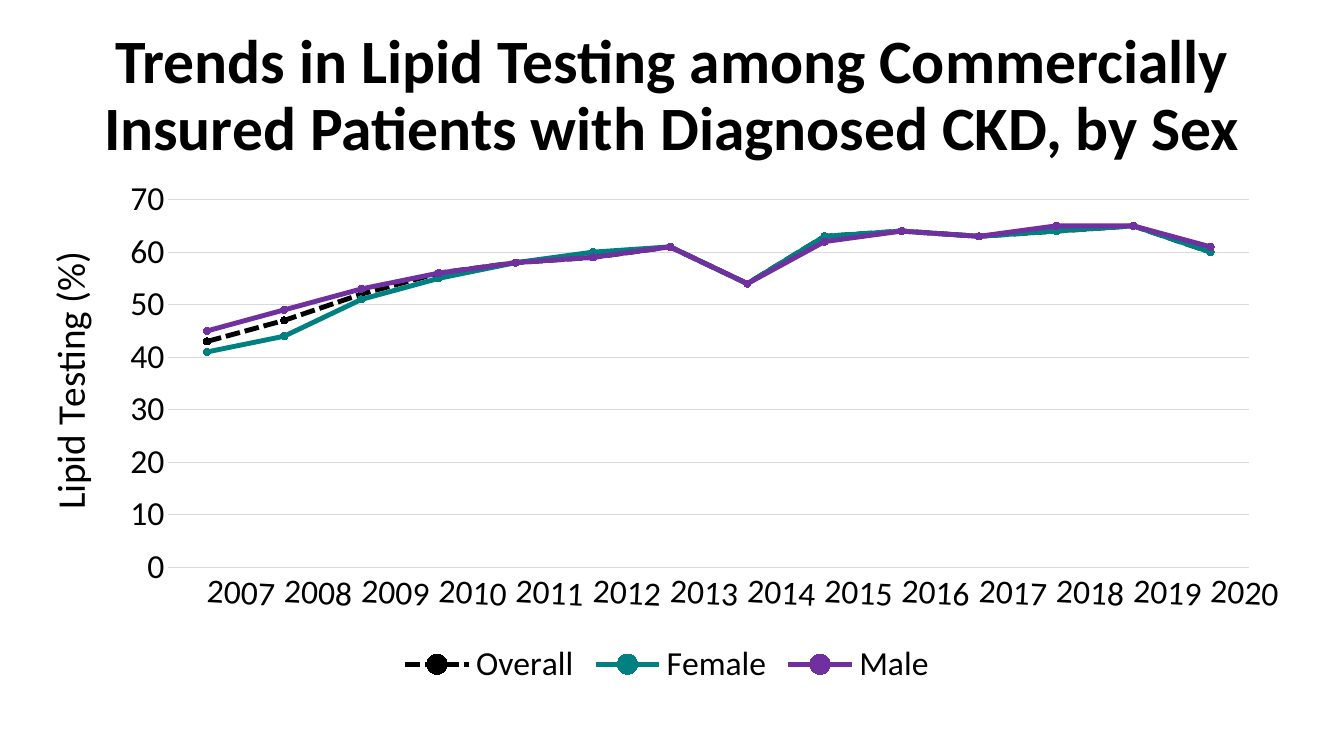
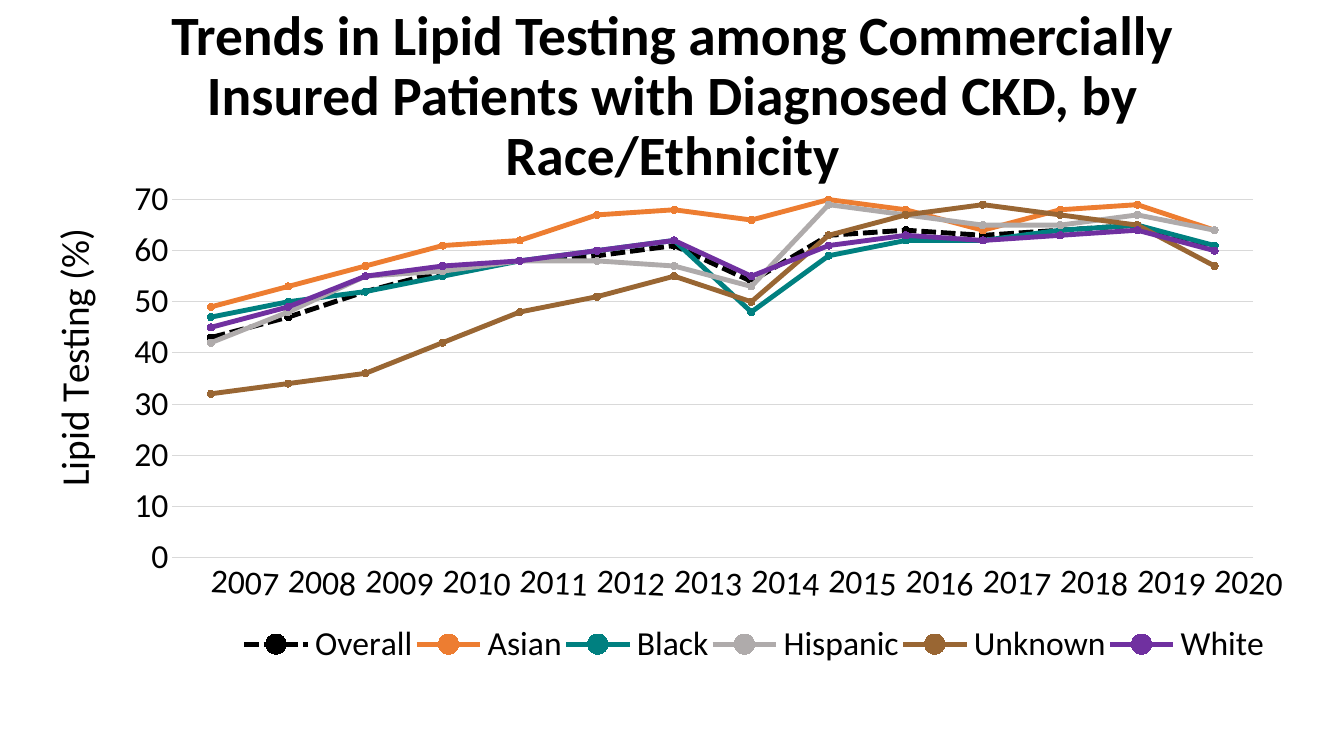
from dataclasses import dataclass

from lxml import etree
from pptx import Presentation
from pptx.chart.data import CategoryChartData
from pptx.dml.color import RGBColor
from pptx.enum.chart import XL_CHART_TYPE, XL_LEGEND_POSITION, XL_MARKER_STYLE, XL_TICK_MARK
from pptx.enum.dml import MSO_LINE
from pptx.enum.text import MSO_ANCHOR, MSO_AUTO_SIZE, PP_ALIGN
from pptx.oxml.ns import qn
from pptx.util import Inches, Pt

LINE_CHART = XL_CHART_TYPE.LINE_MARKERS
LEGEND_BOTTOM = XL_LEGEND_POSITION.BOTTOM
CIRCLE = XL_MARKER_STYLE.CIRCLE
NO_TICK = XL_TICK_MARK.NONE
SHORT_DASH = MSO_LINE.SQUARE_DOT
MIDDLE = MSO_ANCHOR.MIDDLE
NO_FIT = MSO_AUTO_SIZE.NONE
CENTER = PP_ALIGN.CENTER

FONT = "Calibri"
COLORS = {
    "text": "000000",
    "grid": "D9D9D9",
    "Overall": "000000",
    "Female": "008080",
    "Male": "7030A0",
    "Asian": "ED7D31",
    "Black": "008080",
    "Hispanic": "AFABAB",
    "Unknown": "996633",
    "White": "7030A0",
}
YEARS = [str(year) for year in range(2007, 2021)]
OVERALL = [43, 47, 52, 56, 58, 59, 61, 54, 63, 64, 63, 64, 65, 60]
TITLE_START = "Trends in Lipid Testing among Commercially Insured Patients with Diagnosed CKD, by "


@dataclass(frozen=True)
class Frame:
    """A rectangle in inches."""
    left: float
    top: float
    width: float
    height: float


@dataclass(frozen=True)
class TrendSlide:
    group: str
    title_size: float
    chart: Frame
    axis_title_top: float
    series: dict[str, list[int]]
    legend: Frame | None = None


TITLE_FRAME = Frame(0.92, 0.24, 11.5, 1.45)

SLIDES = [
    TrendSlide(
        "Sex", 44, Frame(0.29, 1.69, 12.65, 5.17), 0.74,
        {
            "Overall": OVERALL,
            "Female": [41, 44, 51, 55, 58, 60, 61, 54, 63, 64, 63, 64, 65, 60],
            "Male": [45, 49, 53, 56, 58, 59, 61, 54, 62, 64, 63, 65, 65, 61],
        },
    ),
    TrendSlide(
        "Race/Ethnicity", 39.6, Frame(0.33, 1.69, 12.67, 5.07), 0.51,
        {
            "Overall": OVERALL,
            "Asian": [49, 53, 57, 61, 62, 67, 68, 66, 70, 68, 64, 68, 69, 64],
            "Black": [47, 50, 52, 55, 58, 60, 62, 48, 59, 62, 62, 64, 65, 61],
            "Hispanic": [42, 48, 55, 56, 58, 58, 57, 53, 69, 67, 65, 65, 67, 64],
            "Unknown": [32, 34, 36, 42, 48, 51, 55, 50, 63, 67, 69, 67, 65, 57],
            "White": [45, 49, 55, 57, 58, 60, 62, 55, 61, 63, 62, 63, 64, 60],
        },
        legend=Frame(2.05, 4.45, 10.2, 0.5),
    ),
]


def rgb(name: str) -> RGBColor:
    return RGBColor.from_string(COLORS[name])


def style_font(font, size: float, bold: bool = False) -> None:
    font.name = FONT
    font.size = Pt(size)
    font.bold = bold
    font.color.rgb = rgb("text")


def write_text(text_frame, text: str, *, size: float, bold: bool = False,
               line_spacing: float | None = None) -> None:
    para = text_frame.paragraphs[0]
    para.alignment = CENTER
    para.line_spacing = line_spacing
    span = para.add_run()
    span.text = text
    style_font(span.font, size, bold)


def place_part(part, index: int, chart: Frame, left: float, top: float,
               width: float | None = None, height: float | None = None,
               inner: bool = False) -> None:
    """Give a chart part a manual layout, in inches from the chart's corner."""
    for layout in part.findall(qn("c:layout")):
        part.remove(layout)
    layout = etree.Element(qn("c:layout"))
    manual = etree.SubElement(layout, qn("c:manualLayout"))
    settings = [("layoutTarget", "inner")] if inner else []
    settings += [("xMode", "edge"), ("yMode", "edge"),
                 ("x", left / chart.width), ("y", top / chart.height)]
    if width is not None and height is not None:
        settings += [("w", width / chart.width), ("h", height / chart.height)]
    for tag, value in settings:
        etree.SubElement(manual, qn(f"c:{tag}")).set("val", str(value))
    part.insert(index, layout)


def add_title(page, content: TrendSlide) -> None:
    box = page.shapes.title
    box.left, box.top = Inches(TITLE_FRAME.left), Inches(TITLE_FRAME.top)
    box.width, box.height = Inches(TITLE_FRAME.width), Inches(TITLE_FRAME.height)
    text_frame = box.text_frame
    text_frame.word_wrap = True
    text_frame.auto_size = NO_FIT
    text_frame.vertical_anchor = MIDDLE
    write_text(text_frame, TITLE_START + content.group,
               size=content.title_size, bold=True, line_spacing=0.9)


def style_axes(chart) -> None:
    years, percent = chart.category_axis, chart.value_axis
    for axis in (years, percent):
        axis.major_tick_mark = axis.minor_tick_mark = NO_TICK
        style_font(axis.tick_labels.font, 24)
    years.has_major_gridlines = False
    percent.has_major_gridlines = True
    for line in (years.format.line, percent.major_gridlines.format.line):
        line.color.rgb = rgb("grid")
        line.width = Pt(0.75)
    percent.format.line.fill.background()
    percent.minimum_scale, percent.maximum_scale = 0, 70
    percent.major_unit = 10
    percent.tick_labels.number_format = "0"
    percent.tick_labels.number_format_is_linked = False
    write_text(percent.axis_title.text_frame, "Lipid Testing (%)", size=28)
    # Year labels lean by three degrees
    chart.element.xpath(".//c:catAx/c:txPr/a:bodyPr")[0].set("rot", "180000")


def style_series(series) -> None:
    color = rgb(series.name)
    series.smooth = False
    series.format.line.color.rgb = color
    series.format.line.width = Pt(3.5)
    if series.name == "Overall":
        series.format.line.dash_style = SHORT_DASH
    marker = series.marker
    marker.style = CIRCLE
    marker.size = 5
    marker.format.fill.solid()
    marker.format.fill.fore_color.rgb = color
    marker.format.line.color.rgb = color


def add_trend_chart(page, content: TrendSlide) -> None:
    data = CategoryChartData(number_format="0")
    data.categories = YEARS
    for name, values in content.series.items():
        data.add_series(name, values)
    frame = content.chart
    chart = page.shapes.add_chart(
        LINE_CHART, Inches(frame.left), Inches(frame.top),
        Inches(frame.width), Inches(frame.height), data).chart
    chart.has_title = False
    style_font(chart.font, 10)
    style_axes(chart)
    plot = chart.plots[0]
    plot.vary_by_categories = False
    for series in plot.series:
        style_series(series)

    chart.has_legend = True
    chart.legend.position = LEGEND_BOTTOM
    chart.legend.include_in_layout = False
    style_font(chart.legend.font, 24)

    # Positions inside the chart
    root = chart.element
    place_part(root.xpath(".//c:plotArea")[0], 0, frame, 1.38, 0.29,
               10.72, frame.height - 1.52, inner=True)
    place_part(root.xpath(".//c:valAx/c:title")[0], 1, frame,
               0.07, content.axis_title_top)
    if content.legend:
        legend = content.legend
        place_part(root.xpath(".//c:legend")[0], 1, frame, legend.left,
                   legend.top, legend.width, legend.height)


def main() -> None:
    deck = Presentation()
    deck.slide_width, deck.slide_height = Inches(13.33), Inches(7.5)
    title_only = deck.slide_layouts[5]
    for content in SLIDES:
        page = deck.slides.add_slide(title_only)
        add_title(page, content)
        add_trend_chart(page, content)
    deck.save("out.pptx")


if __name__ == "__main__":
    main()
